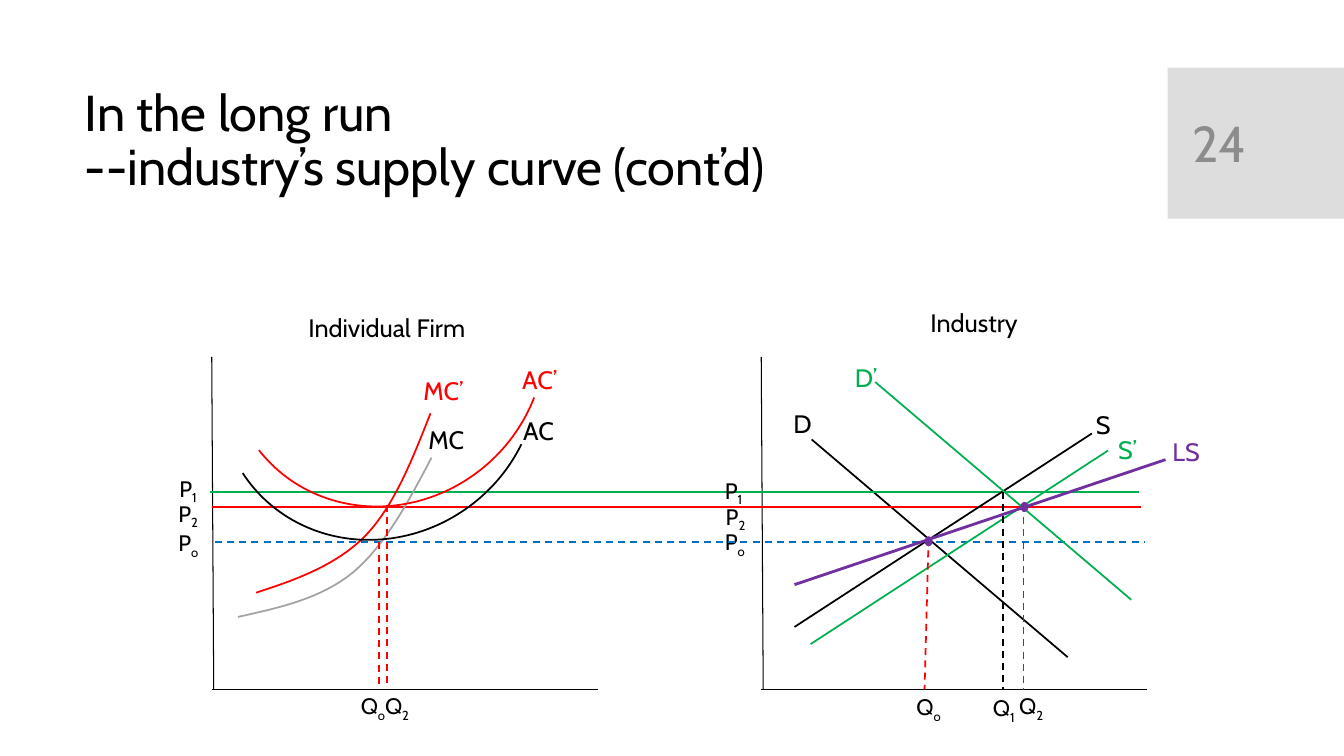
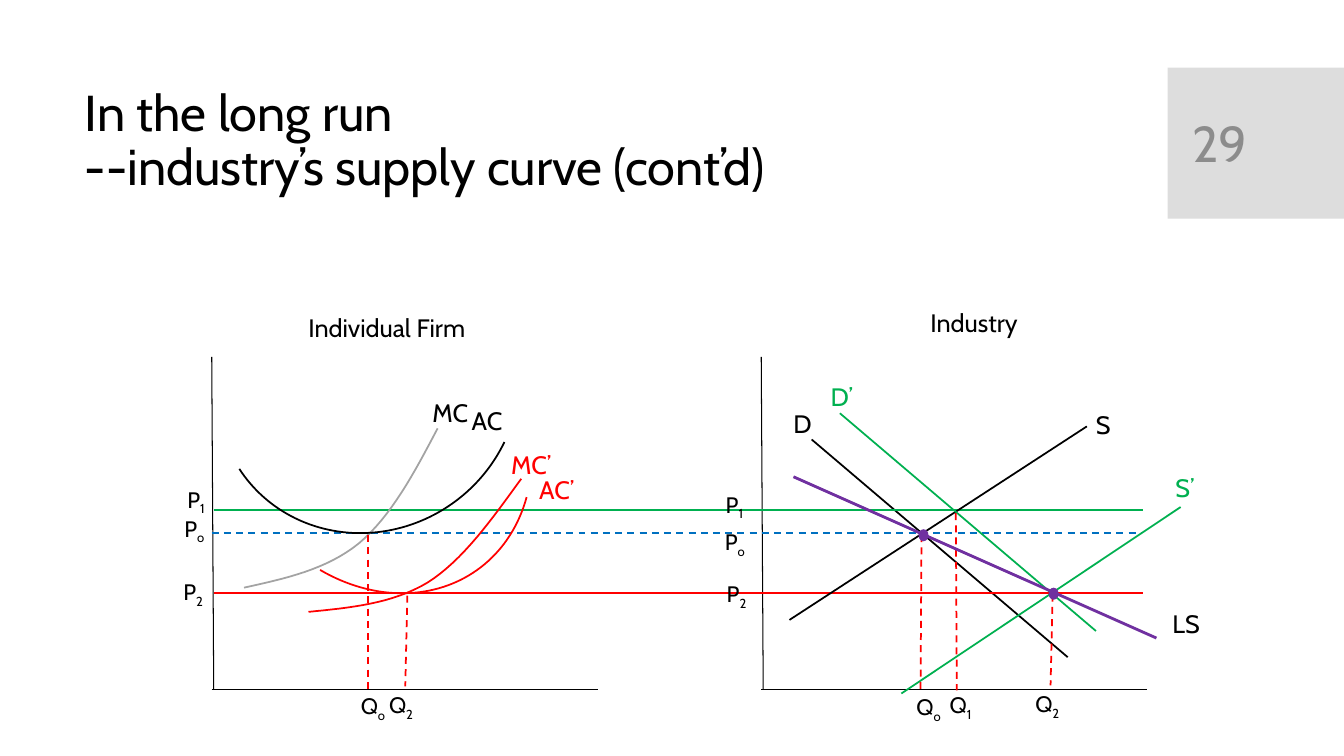
from lxml.etree import SubElement
from pptx import Presentation
from pptx.dml.color import RGBColor
from pptx.enum.dml import MSO_LINE
from pptx.enum.shapes import MSO_CONNECTOR, MSO_SHAPE
from pptx.enum.text import MSO_ANCHOR, PP_ALIGN
from pptx.oxml.ns import qn
from pptx.util import Inches, Pt

FONT = "Cabin"
BLACK = RGBColor(0x00, 0x00, 0x00)
RED = RGBColor(0xFF, 0x00, 0x00)
GREEN = RGBColor(0x00, 0xB0, 0x50)
BLUE = RGBColor(0x00, 0x70, 0xC0)
PURPLE = RGBColor(0x70, 0x30, 0xA0)
CURVE_GRAY = RGBColor(0xA3, 0xA3, 0xA3)
BAND_GRAY = RGBColor(0xDD, 0xDD, 0xDD)
NUMBER_GRAY = RGBColor(0x8C, 0x8C, 0x8C)

TITLE = "In the long run\v--industry’s supply curve (cont’d)"
AXIS_TOP, AXIS_BOTTOM, AXIS_LENGTH = 3.54, 6.84, 3.83
FIRM_X, INDUSTRY_X = 2.1, 7.55
CURVE_STEPS = 16


def add_text(s, text, x, y, w, h, size, color=BLACK, sub=""):
    sp = s.shapes.add_textbox(Inches(x), Inches(y), Inches(w), Inches(h))
    tf = sp.text_frame
    tf.word_wrap = True
    p = tf.paragraphs[0]
    p.add_run().text = text
    if sub:
        r = p.add_run()
        r.text = sub
        r._r.get_or_add_rPr().set("baseline", "-25000")
    p.font.name, p.font.size, p.font.color.rgb = FONT, Pt(size), color
    return sp


def add_curve_name(s, text, x, y, color=BLACK, w=1.02):
    add_text(s, text, x, y, w, 0.4, 18, color)


def add_tick(s, name, x, y, w=1.24):
    add_text(s, name[0], x, y, w, 0.37, 16, sub=name[1])


def add_line(s, start, end, color=BLACK, width=1.25, dashed=False):
    x1, y1, x2, y2 = (Inches(v) for v in (*start, *end))
    line = s.shapes.add_connector(MSO_CONNECTOR.STRAIGHT, x1, y1, x2, y2)
    line.line.color.rgb, line.line.width = color, Pt(width)
    if dashed:
        line.line.dash_style = MSO_LINE.DASH
    SubElement(line._element.spPr, qn("a:effectLst"))


def add_demand(s, x, y, color=BLACK):
    add_line(s, (x, y), (x + 2.54, y + 2.16), color)


def add_supply(s, x, y, color=BLACK):
    add_line(s, (x, y), (x + 2.95, y - 1.92), color)


def add_price(s, x, y, color, dashed=False):
    add_line(s, (x, y), (x + 9.22, y), color, dashed=dashed)


def add_drop(s, start, end, color=RED):
    add_line(s, start, end, color, dashed=True)


def style_curve(sp, color):
    sp.shadow.inherit = False
    sp.fill.background()
    sp.line.color.rgb, sp.line.width = color, Pt(1.25)


def bezier(p0, p1, p2, p3, t):
    u = 1 - t
    return tuple(u**3 * a + 3 * u * u * t * b + 3 * u * t * t * c + t**3 * d
                 for a, b, c, d in zip(p0, p1, p2, p3))


def add_marginal_cost(s, nodes, color):
    nodes = [(Inches(x), Inches(y)) for x, y in nodes]
    points = [bezier(*nodes[i:i + 4], step / CURVE_STEPS)
              for i in (0, 3) for step in range(1, CURVE_STEPS + 1)]
    builder = s.shapes.build_freeform(*nodes[0])
    builder.add_line_segments(points, close=False)
    style_curve(builder.convert_to_shape(), color)


def add_average_cost(s, x, y, w, h, rotation, color=BLACK, end=1.921):
    sp = s.shapes.add_shape(MSO_SHAPE.ARC, Inches(x), Inches(y), Inches(w), Inches(h))
    sp.adjustments[0], sp.adjustments[1] = 143.784, end
    sp.rotation = rotation
    style_curve(sp, color)


def add_filled(s, kind, x, y, w, h, color):
    sp = s.shapes.add_shape(kind, Inches(x), Inches(y), Inches(w), Inches(h))
    sp.shadow.inherit = False
    sp.fill.solid()
    sp.fill.fore_color.rgb = color
    sp.line.fill.background()


def add_long_run_supply(s, start, end, dots, w, h):
    add_line(s, start, end, PURPLE, 2)
    for x, y in dots:
        add_filled(s, MSO_SHAPE.OVAL, x, y, w, h, PURPLE)


def add_frame(prs, number):
    s = prs.slides.add_slide(prs.slide_layouts[5])
    add_filled(s, MSO_SHAPE.RECTANGLE, 11.58, 0.67, 1.75, 1.5, BAND_GRAY)
    sp = s.shapes.title
    sp.left, sp.top, sp.width, sp.height = (Inches(v) for v in (0.74, 0.82, 10.51, 1.18))
    tf = sp.text_frame
    tf.text = TITLE
    tf.vertical_anchor = MSO_ANCHOR.MIDDLE
    p = tf.paragraphs[0]
    p.alignment, p.line_spacing = PP_ALIGN.LEFT, 0.9
    p.font.name, p.font.size, p.font.color.rgb = FONT, Pt(36), BLACK
    box = add_text(s, number, 11.73, 0.82, 1.26, 1.19, 36, NUMBER_GRAY)
    box.text_frame.vertical_anchor = MSO_ANCHOR.MIDDLE

    for x in (FIRM_X, INDUSTRY_X):
        add_line(s, (x, AXIS_TOP), (x + 0.02, AXIS_BOTTOM), width=0.75)
        add_line(s, (x, AXIS_BOTTOM), (x + AXIS_LENGTH, AXIS_BOTTOM), width=0.75)
    add_curve_name(s, "Individual Firm", 2.96, 3.05, w=1.98)
    add_curve_name(s, "Industry", 9.13, 3, w=1.98)
    add_demand(s, 8.05, 4.36)
    add_curve_name(s, "D", 7.77, 4, w=0.42)
    add_curve_name(s, "S", 10.77, 4.01, w=0.45)
    add_tick(s, "Po", 7.09, 5.19)
    add_tick(s, "Qo", 3.48, 6.82, 0.48)
    add_tick(s, "Qo", 8.99, 6.83, 0.52)
    return s


def build_rising_supply(prs):
    s = add_frame(prs, "24")
    add_price(s, 2.08, 4.88, GREEN)
    add_price(s, 2.13, 5.38, BLUE, dashed=True)
    add_price(s, 2.1, 5.03, RED)
    for name, x, y in (("P1", 1.68, 4.66), ("P2", 1.67, 4.91), ("Po", 1.67, 5.2),
                       ("P1", 7.09, 4.68), ("P2", 7.1, 4.94)):
        add_tick(s, name, x, y)

    add_marginal_cost(s, [(2.36, 6.12), (2.77, 6.03), (3.18, 5.94), (3.5, 5.68),
                          (3.82, 5.41), (4.05, 4.98), (4.28, 4.54)], CURVE_GRAY)
    add_marginal_cost(s, [(2.54, 5.88), (2.94, 5.75), (3.33, 5.61), (3.62, 5.32),
                          (3.91, 5.02), (4.09, 4.56), (4.27, 4.1)], RED)
    add_average_cost(s, 2.14, 2.29, 3.23, 3.03, 143.4)
    add_average_cost(s, 2.22, 1.95, 3.23, 3.03, 138.5, RED)
    add_curve_name(s, "MC", 4.15, 4.16)
    add_curve_name(s, "AC", 5.09, 4.07, w=1.43)
    add_curve_name(s, "MC’", 4.1, 3.67, RED)
    add_curve_name(s, "AC’", 5.08, 3.57, RED, 1.43)
    add_drop(s, (3.76, 5.38), (3.76, 6.82))
    add_drop(s, (3.84, 5.01), (3.84, 6.82))
    add_tick(s, "Q2", 3.72, 6.82, 0.48)

    add_supply(s, 7.88, 6.22)
    add_supply(s, 8.04, 6.39, GREEN)
    add_demand(s, 8.68, 3.79, GREEN)
    add_curve_name(s, "D’", 8.38, 3.55, GREEN, 0.48)
    add_curve_name(s, "S’", 10.99, 4.26, GREEN, 0.45)
    add_drop(s, (9.21, 5.34), (9.17, 6.84))
    add_drop(s, (9.95, 4.88), (9.95, 6.84), BLACK)
    add_drop(s, (10.15, 5.01), (10.15, 6.85))
    add_tick(s, "Q1", 9.75, 6.84)
    add_tick(s, "Q2", 10.01, 6.82)
    add_long_run_supply(s, (7.88, 5.8), (11.56, 4.56),
                        [(9.17, 5.32), (10.12, 4.98)], 0.08, 0.1)
    add_curve_name(s, "LS", 11.53, 4.28, PURPLE)


def build_falling_supply(prs):
    s = add_frame(prs, "29")
    add_price(s, 2.12, 5.06, GREEN)
    add_price(s, 2.1, 5.29, BLUE, dashed=True)
    add_price(s, 2.12, 5.88, RED)
    for name, x, y in (("P1", 1.76, 4.77), ("Po", 1.73, 5.06), ("P2", 1.72, 5.69),
                       ("P1", 7.1, 4.82), ("P2", 7.11, 5.71)):
        add_tick(s, name, x, y)

    add_marginal_cost(s, [(2.42, 5.83), (2.83, 5.74), (3.24, 5.65), (3.56, 5.39),
                          (3.88, 5.12), (4.11, 4.69), (4.34, 4.25)], CURVE_GRAY)
    add_marginal_cost(s, [(3.06, 6.07), (3.47, 6.03), (3.89, 5.99), (4.24, 5.78),
                          (4.59, 5.56), (4.88, 5.15), (5.17, 4.75)], RED)
    add_average_cost(s, 2.12, 2.36, 3.06, 2.9, 143.4)
    add_average_cost(s, 2.31, 2.57, 2.87, 3.4, 144.5, RED, 196.751)
    add_curve_name(s, "MC", 4.19, 3.89)
    add_curve_name(s, "AC", 4.58, 3.97, w=1.43)
    add_curve_name(s, "MC’", 4.97, 4.41, RED)
    add_curve_name(s, "AC’", 5.25, 4.66, RED, 1.43)
    add_drop(s, (3.65, 5.31), (3.65, 6.86))
    add_drop(s, (4.04, 5.91), (4.02, 6.81))
    add_tick(s, "Q2", 3.76, 6.81, 0.52)

    add_supply(s, 7.83, 6.15)
    add_line(s, (8.94, 6.88), (11.71, 5.03), GREEN)
    add_demand(s, 8.33, 4.1, GREEN)
    add_curve_name(s, "D’", 8.14, 3.73, GREEN, 0.5)
    add_curve_name(s, "S’", 11.56, 4.64, GREEN, 0.45)
    add_drop(s, (9.14, 5.31), (9.13, 6.86))
    add_drop(s, (9.48, 5.09), (9.49, 6.85))
    add_drop(s, (10.44, 5.9), (10.42, 6.8))
    add_tick(s, "Q1", 9.32, 6.81, 0.52)
    add_tick(s, "Q2", 10.17, 6.8, 0.52)
    add_long_run_supply(s, (7.87, 4.73), (11.47, 6.33),
                        [(10.4, 5.83), (9.11, 5.25)], 0.1, 0.12)
    add_curve_name(s, "LS", 11.53, 5.99, w=1.43)


def main():
    prs = Presentation()
    prs.slide_width, prs.slide_height = Inches(13.33), Inches(7.5)
    build_rising_supply(prs)
    build_falling_supply(prs)
    prs.save("out.pptx")


if __name__ == "__main__":
    main()
